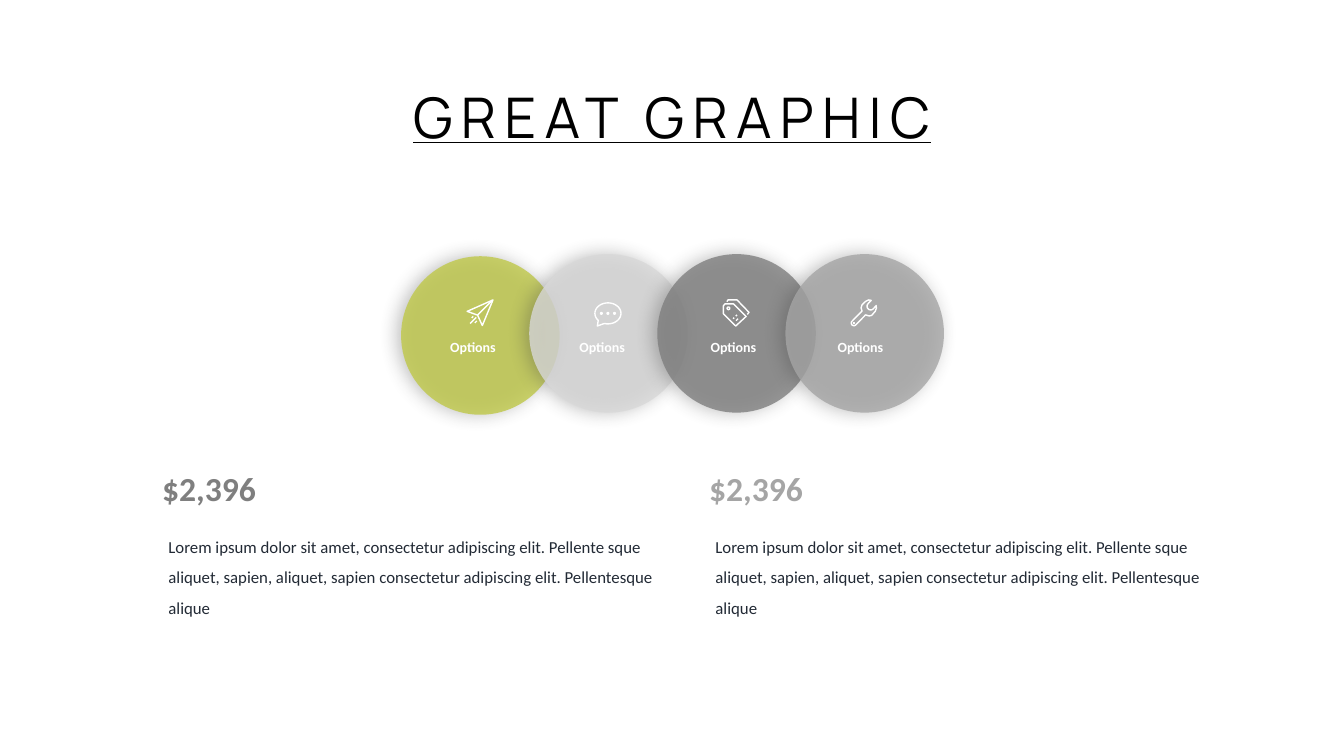
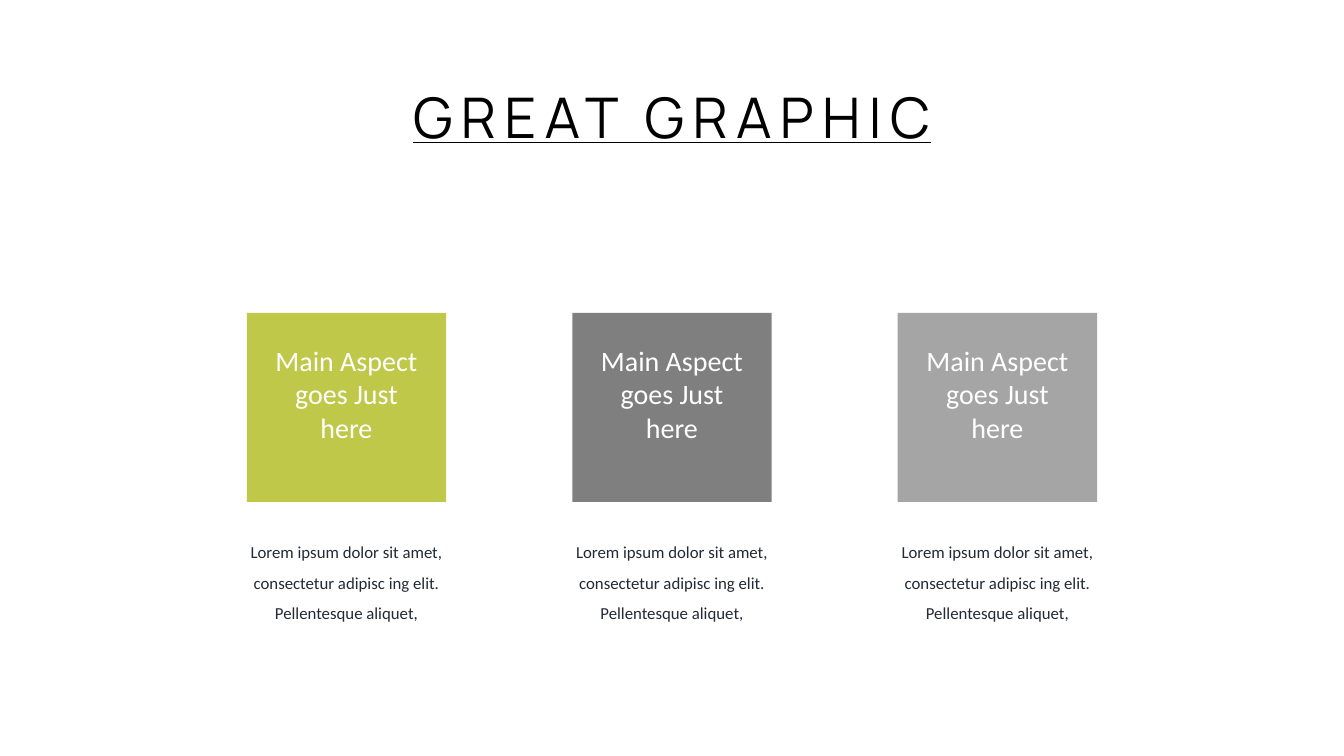
import math
from dataclasses import dataclass

from lxml import etree
from pptx import Presentation
from pptx import util as u
from pptx.dml.color import RGBColor
from pptx.enum import shapes, text
from pptx.oxml import ns

PX = 9525  # EMU
ICON_SIZE = 26
ICON_GRID = 27  # icon outlines are drawn on a square of this many units
ICON_DETAIL = 100  # freeform points are whole numbers, so units are subdivided


@dataclass(frozen=True)
class Theme:
    green: str = "BFC848"
    light: str = "D8D8D8"
    dark: str = "7F7F7F"
    middle: str = "A5A5A5"
    white: str = "FFFFFF"
    black: str = "000000"
    ink: str = "222A35"
    shadow: str = "404040"
    title_font: str = "Manrope"
    body_font: str = "Calibri"
    title_size: int = 40
    figure_size: int = 24
    card_size: int = 20
    body_size: int = 12
    label_size: int = 10


THEME = Theme()
CENTER = text.PP_ALIGN.CENTER
LEFT = text.PP_ALIGN.LEFT


def px(*lengths):
    return [u.Emu(length * PX) for length in lengths]


def set_all(target, values):
    for name, value in values.items():
        setattr(target, name, value)


def write(shape, words, size, color, align=LEFT, spacing=1.0, wrap=True,
          font=THEME.body_font, **font_values):
    """Fill a shape's frame with one formatted paragraph and return its run."""
    frame = shape.text_frame
    set_all(frame, {"word_wrap": wrap,
                    "auto_size": text.MSO_AUTO_SIZE.SHAPE_TO_FIT_TEXT,
                    "vertical_anchor": text.MSO_ANCHOR.TOP})
    para = frame.paragraphs[0]
    set_all(para, {"alignment": align, "line_spacing": spacing})
    span = para.add_run()
    span.text = words
    set_all(span.font, {"name": font, "size": u.Pt(size), **font_values})
    span.font.color.rgb = RGBColor.from_string(color)
    return span


def add_text(parent, box, words, size, color, **style):
    write(parent.add_textbox(*px(*box)), words, size, color, **style)


def add_page(deck, title):
    page = deck.slides.add_slide(deck.slide_layouts[5])
    heading = page.shapes.title
    set_all(heading, dict(zip(("left", "top", "width", "height"),
                              px(363, 74, 554, 74))))
    span = write(heading, title, THEME.title_size, THEME.black, align=CENTER,
                 wrap=False, font=THEME.title_font, underline=True)
    span.font._element.set("spc", "600")
    return page


def add_solid(parent, kind, box, color):
    shape = parent.add_shape(kind, *px(*box))
    shape.shadow.inherit = False
    shape.fill.solid()
    shape.fill.fore_color.rgb = RGBColor.from_string(color)
    shape.line.fill.background()
    return shape


def add_circle(parent, left, top, color):
    """Add a translucent disc with a soft shadow."""
    disc = add_solid(parent, shapes.MSO_SHAPE.OVAL, (left, top, 151, 151), color)
    props = disc._element.spPr
    fill_color = props.find(ns.qn("a:solidFill")).find(ns.qn("a:srgbClr"))
    etree.SubElement(fill_color, ns.qn("a:alpha"), val="80000")
    shadow = etree.SubElement(
        props.find(ns.qn("a:effectLst")), ns.qn("a:outerShdw"),
        blurRad=str(u.Pt(13)), dist=str(u.Pt(3)), dir="10800000",
        algn="ctr", rotWithShape="0")
    shadow_color = etree.SubElement(shadow, ns.qn("a:srgbClr"), val=THEME.shadow)
    etree.SubElement(shadow_color, ns.qn("a:alpha"), val="40000")


def arc(x, y, radius_x, radius_y, start=0, end=360, steps=32):
    angles = [math.radians(start + (end - start) * step / steps)
              for step in range(steps + 1)]
    return [(x + radius_x * math.cos(angle), y + radius_y * math.sin(angle))
            for angle in angles]


def dot(x, y, radius):
    return arc(x, y, radius, radius), True


def dash(*points):
    return list(points), False


def plane_icon():
    return [
        ([(1, 12), (26.5, 0.7), (16, 26), (11.3, 15.7)], True),
        dash((11.3, 15.7), (26, 1)),
        dash((4, 24), (10, 18)),
        dash((8.5, 23.5), (10.5, 21.5)),
        dash((5.5, 18.5), (7, 17)),
    ]


def chat_icon():
    bubble = arc(13.5, 14, 12.9, 10.4, 138, 466) + [(3, 26.5)]
    return [(bubble, True)] + [dot(x, 14, 0.8) for x in (7, 13.5, 20)]


def tags_icon():
    return [
        ([(1, 6.5), (2.5, 4.6), (11, 4.6), (23.5, 17), (13.2, 26.5), (1, 14.5)], True),
        dash((4.5, 2.5), (5.5, 0.7), (14.5, 0.7), (26.3, 13), (24.6, 15)),
        dot(6, 9, 1.3),
        dash((13.5, 21.3), (15.5, 19.3)),
        dash((10.5, 19.3), (11.7, 18.3)),
        dash((13.2, 16.7), (14.5, 15.5)),
    ]


def wrench_icon():
    jaw = arc(20, 7, 3.6, 3.6, 225, 45)
    handle_end = arc(3.4, 23.6, 2.6, 2.6, 40, 220)
    outline = ([(20.5, 1.2)] + jaw
               + [(25.5, 6.3), (25.6, 9), (24.5, 12), (21, 16), (18.5, 16.6), (15, 15.5)]
               + handle_end
               + [(11.5, 11.8), (10.5, 8.5), (11.5, 5.5), (15, 2.2), (18, 0.7)])
    return [(outline, True), dot(3.4, 23.6, 0.4)]


def add_icon(parent, left, top, contours):
    """Draw (points, closed) contours as one white outline."""
    scale = ICON_SIZE * PX / (ICON_GRID * ICON_DETAIL)
    builder = None
    for points, closed in contours:
        first, *rest = [(x * ICON_DETAIL, y * ICON_DETAIL) for x, y in points]
        if builder is None:
            builder = parent.build_freeform(*first, scale=scale)
        else:
            builder.move_to(*first)
        builder.add_line_segments(rest, close=closed)
    icon = builder.convert_to_shape(*px(left, top))
    icon.shadow.inherit = False
    icon.fill.background()
    icon.line.color.rgb = RGBColor.from_string(THEME.white)
    icon.line.width = u.Pt(1)


def add_options(page):
    # top, colour, icon, label inset
    options = [
        (244, THEME.green, plane_icon, 20),
        (242, THEME.light, chat_icon, 21),
        (242, THEME.dark, tags_icon, 24),
        (242, THEME.middle, wrench_icon, 23),
    ]
    placed = [(382 + 122 * index, *option) for index, option in enumerate(options)]
    group = page.shapes.add_group_shape().shapes
    for pair in (placed[:2], placed[2:]):
        for left, top, color, _, _ in pair:
            add_circle(group, left, top, color)
        for left, _, _, icon, inset in pair:
            add_icon(group, left + 62, 285, icon())
            add_text(group, (left + inset, 318, 97, 26), "Options",
                     THEME.label_size, THEME.white, align=CENTER, bold=True)


def add_figure(page, left, color):
    add_text(page.shapes, (left, 441, 152, 48), "$2,396",
             THEME.figure_size, color, bold=True)
    add_text(page.shapes, (left + 6, 497, 501, 94),
             "Lorem ipsum dolor sit amet, consectetur adipiscing elit. "
             "Pellente sque aliquet, sapien, aliquet, sapien consectetur "
             "adipiscing elit. Pellentesque alique",
             THEME.body_size, THEME.ink, spacing=1.5)


def add_card(page, left, color):
    group = page.shapes.add_group_shape().shapes
    add_solid(group, shapes.MSO_SHAPE.RECTANGLE, (left, 298, 190, 180), color)
    add_text(group, (left + 14, 322, 162, 107), "Main Aspect goes Just here",
             THEME.card_size, THEME.white, align=CENTER)
    add_text(page.shapes, (left - 37, 502, 264, 94),
             "Lorem ipsum dolor sit amet, consectetur adipisc ing elit. "
             "Pellentesque aliquet,",
             THEME.body_size, THEME.ink, align=CENTER, spacing=1.5)


def main():
    deck = Presentation()
    deck.slide_width, deck.slide_height = px(1280, 720)

    options_page = add_page(deck, "GREAT GRAPHIC")
    add_options(options_page)
    for index, color in enumerate((THEME.dark, THEME.middle)):
        add_figure(options_page, 145 + 521 * index, color)

    cards_page = add_page(deck, "GREAT GRAPHIC")
    for index, color in enumerate((THEME.green, THEME.dark, THEME.middle)):
        add_card(cards_page, 235 + 310 * index, color)

    deck.save("out.pptx")


if __name__ == "__main__":
    main()
